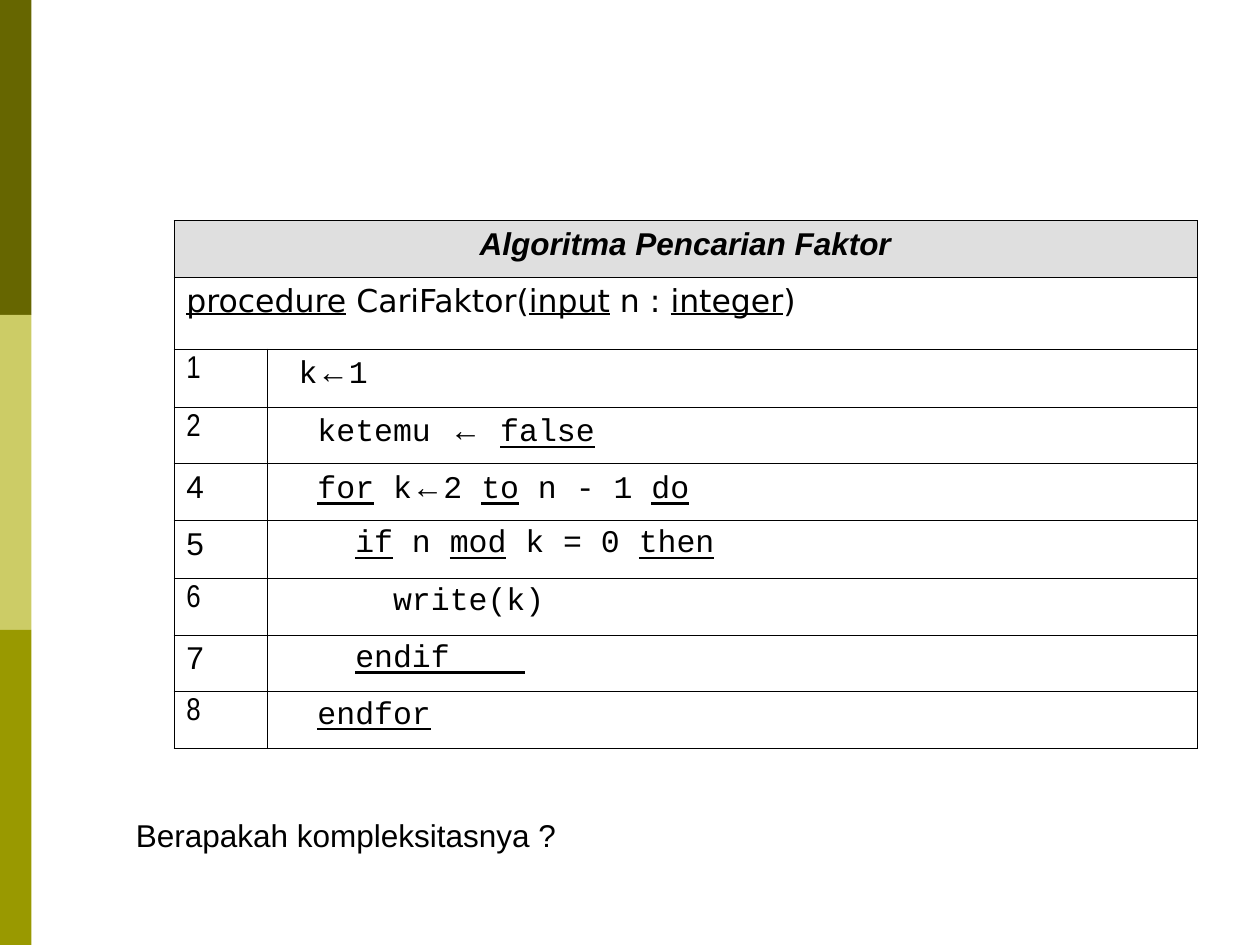
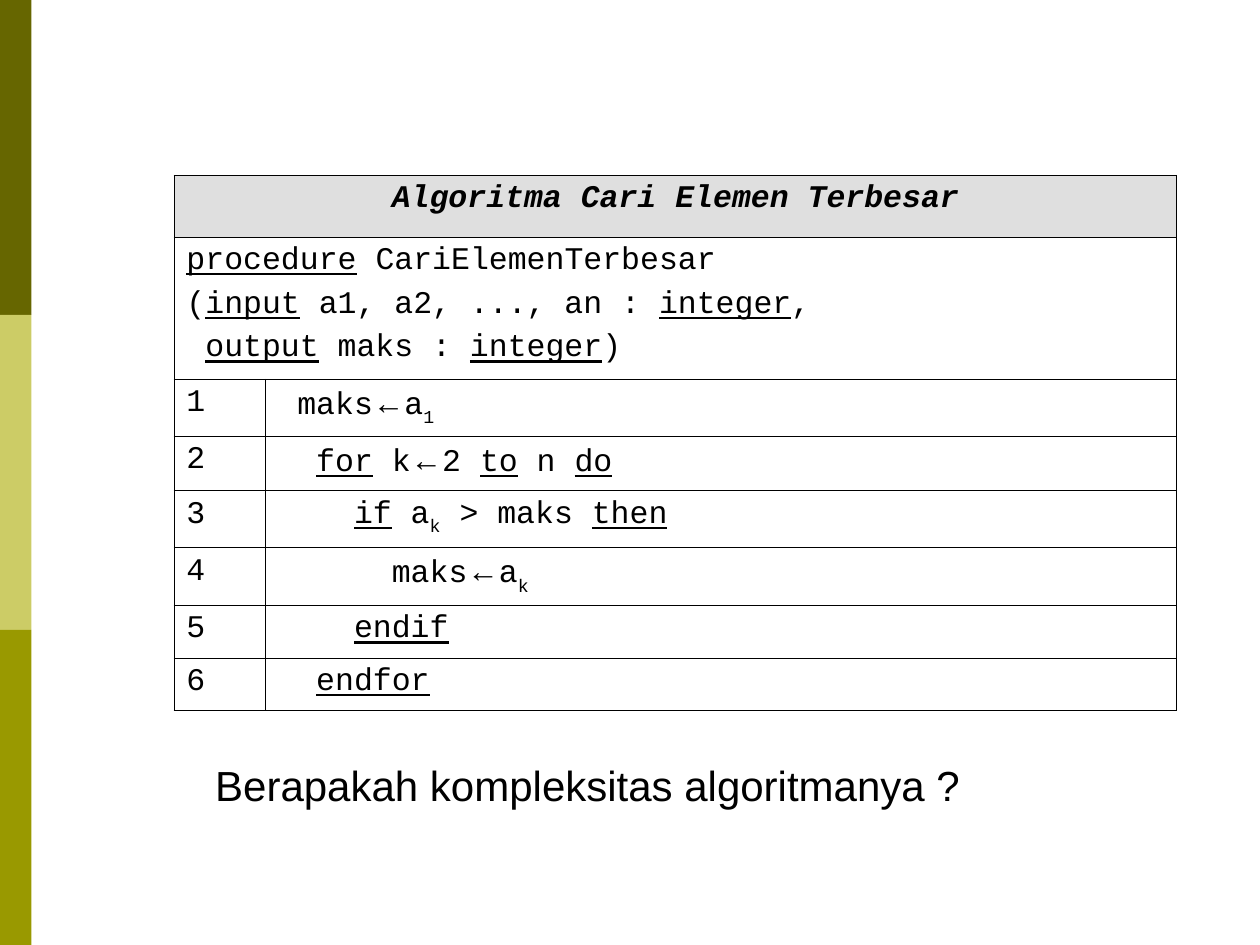
from dataclasses import dataclass
from itertools import groupby

from pptx import Presentation
from pptx.dml.color import RGBColor as RGB
from pptx.enum.shapes import MSO_SHAPE as Shape
from pptx.enum.text import MSO_ANCHOR as Anchor, PP_ALIGN as Align
from pptx.oxml import parse_xml
from pptx.oxml.ns import nsdecls
from pptx.util import Inches, Pt


@dataclass(frozen=True)
class Theme:
    ink: str = "000000"
    head: str = "DFDFDF"
    bands: tuple = ("666600", "CCCC66", "999900")
    sans: str = "Arial"
    slim: str = "Arial Narrow"
    wide: str = "DejaVu Sans"
    mono: str = "Courier New"
    size: int = 18
    large: int = 24
    gap: float = 4.5
    rule: float = 0.45


T = Theme()
SUBS = {"₁": "1", "ₖ": "k"}

# In the code, _word_ is underlined. Each step is number, number font, code.
PAGES = [
    {
        "title": ("Algoritma Pencarian Faktor", T.sans),
        "proc": (["_procedure_ CariFaktor(_input_ n : _integer_)"], T.wide),
        "steps": [
            ("1", T.slim, " k←1"),
            ("2", T.slim, "  ketemu ← _false_"),
            ("4", T.sans, "  _for_ k←2 _to_ n - 1 _do_"),
            ("5", T.sans, "    _if_ n _mod_ k = 0 _then_"),
            ("6", T.slim, "      write(k)"),
            ("7", T.sans, "    _endif    _"),
            ("8", T.slim, "  _endfor_"),
        ],
        "place": (1.38, 1.75),
        "cols": (0.74, 7.38),
        "rows": [0.45, 0.57, 0.46] + [0.45] * 2 + [0.46] + [0.45] * 3,
        "ask": ("Berapakah kompleksitasnya ?", T.size),
        "box": (0.98, 6.43, 8.35, 0.4),
    },
    {
        "title": ("Algoritma Cari Elemen Terbesar", T.mono),
        "proc": ([
            "_procedure_ CariElemenTerbesar",
            "(_input_ a1, a2, ..., an : _integer_,",
            " _output_ maks : _integer_)",
        ], T.mono),
        "steps": [
            ("1", T.mono, " maks←a₁"),
            ("2", T.mono, "  _for_ k←2 _to_ n _do_"),
            ("3", T.mono, "    _if_ aₖ > maks _then_"),
            ("4", T.mono, "      maks←aₖ"),
            ("5", T.mono, "    _endif_"),
            ("6", T.mono, "  _endfor_"),
        ],
        "place": (1.38, 1.39),
        "cols": (0.73, 7.23),
        "rows": [0.49, 1.13, 0.45, 0.43, 0.45, 0.45, 0.42, 0.42],
        "ask": ("Berapakah kompleksitas algoritmanya ?", T.large),
        "box": (1.61, 5.98, 7.64, 0.5),
    },
]


def style(para, face, size=T.size, bold=False):
    font = para.font
    font.name, font.size = face, Pt(size)
    font.bold = font.italic = bold
    font.color.rgb = RGB.from_string(T.ink)


def kind(char):
    return "sub" if char in SUBS else "arrow" if char == "←" else "text"


def add_code(para, line):
    """Split a marked line into underlined, subscript and arrow runs."""
    for i, part in enumerate(line.split("_")):
        for sort, chars in groupby(part, kind):
            run = para.add_run()
            run.text = "".join(SUBS.get(c, c) for c in chars)
            if i % 2:
                run.font.underline = True
            if sort == "arrow":
                run.font.name = T.sans
            elif sort == "sub":
                run.font._element.set("baseline", "-30000")


def fill_cell(cell, lines, face, align=Align.LEFT, bold=False):
    frame = cell.text_frame
    for i, line in enumerate(lines):
        para = frame.add_paragraph() if i else frame.paragraphs[0]
        para.alignment = align
        if i:
            para.space_before = Pt(T.gap)
        style(para, face, bold=bold)
        add_code(para, line)


def frame_cell(cell, fill=None):
    """Rule all four sides, then fill."""
    props = cell._tc.get_or_add_tcPr()
    for side in "LRTB":
        props.append(parse_xml(
            f'<a:ln{side} {nsdecls("a")} w="{Pt(T.rule)}"><a:solidFill>'
            f'<a:srgbClr val="{T.ink}"/></a:solidFill></a:ln{side}>'))
    if fill:
        cell.fill.solid()
        cell.fill.fore_color.rgb = RGB.from_string(fill)
    else:
        cell.fill.background()


def add_bands(slide):
    tall = 7.5 / len(T.bands)
    for i, hue in enumerate(T.bands):
        band = slide.shapes.add_shape(
            Shape.RECTANGLE, 0, Inches(i * tall), Inches(0.25), Inches(tall))
        band.shadow.inherit = False
        band.fill.solid()
        band.fill.fore_color.rgb = RGB.from_string(hue)
        band.line.fill.background()


def add_grid(slide, page):
    cols, rows = page["cols"], page["rows"]
    left, top = page["place"]
    table = slide.shapes.add_table(
        len(rows), len(cols), Inches(left), Inches(top),
        Inches(sum(cols)), Inches(sum(rows))).table
    table.first_row = table.horz_banding = False
    for col, wide in zip(table.columns, cols):
        col.width = Inches(wide)
    for r, tall in enumerate(rows):
        table.rows[r].height = Inches(tall)
        for c in range(len(cols)):
            frame_cell(table.cell(r, c), None if r else T.head)
    for r in (0, 1):
        table.cell(r, 0).merge(table.cell(r, 1))

    title, face = page["title"]
    fill_cell(table.cell(0, 0), [title], face, Align.CENTER, True)
    fill_cell(table.cell(1, 0), *page["proc"])
    for r, (num, face, line) in enumerate(page["steps"], 2):
        fill_cell(table.cell(r, 0), [num], face)
        fill_cell(table.cell(r, 1), [line], T.mono)


def add_ask(slide, page):
    text, size = page["ask"]
    frame = slide.shapes.add_textbox(*map(Inches, page["box"])).text_frame
    frame.word_wrap = True
    frame.vertical_anchor = Anchor.MIDDLE
    para = frame.paragraphs[0]
    para.text = text
    style(para, T.sans, size)


def main():
    deck = Presentation()
    deck.slide_width, deck.slide_height = Inches(10), Inches(7.5)
    for page in PAGES:
        slide = deck.slides.add_slide(deck.slide_layouts[6])
        add_bands(slide)
        add_ask(slide, page)
        add_grid(slide, page)
    deck.save("out.pptx")


if __name__ == "__main__":
    main()
